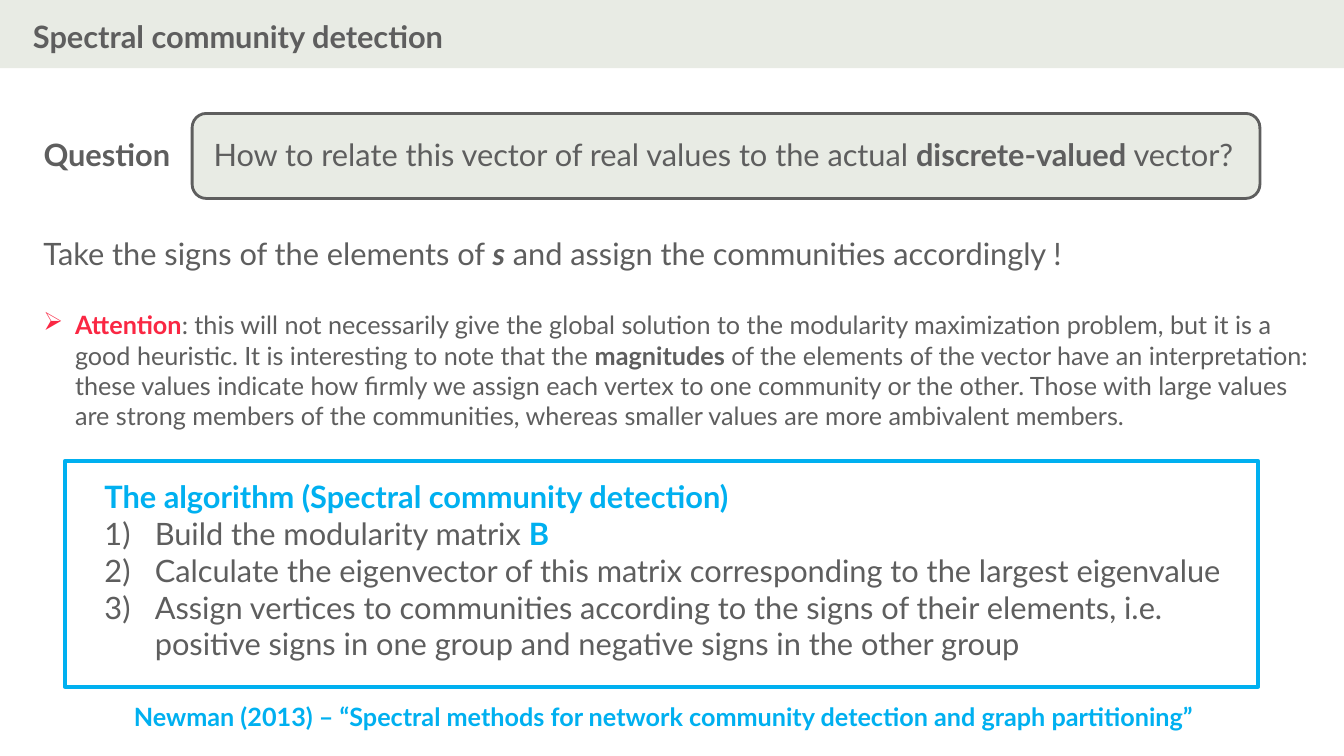
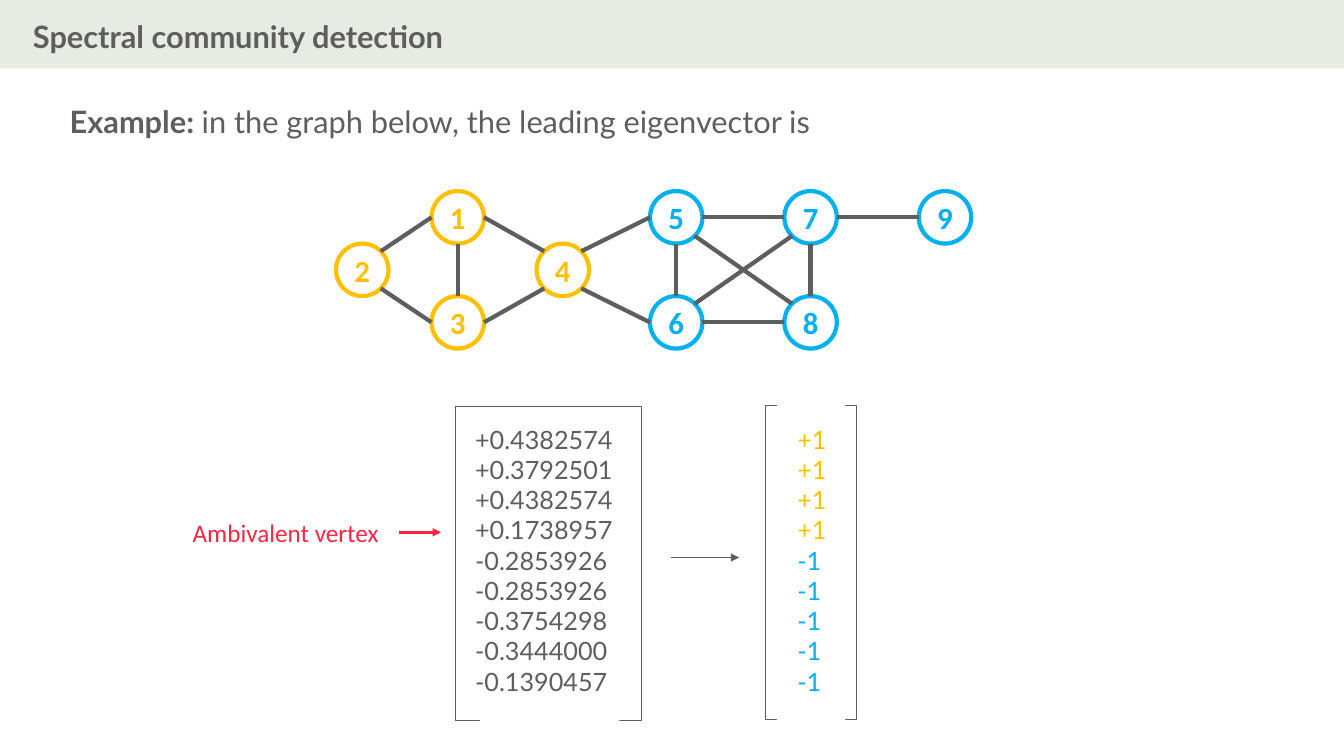
"""Build two slides on spectral community detection."""

import math
from dataclasses import dataclass
from typing import Optional, Union

import lxml.etree
import pptx
import pptx.dml.color
import pptx.enum.shapes
import pptx.enum.text
import pptx.oxml.ns
import pptx.shapes.autoshape
import pptx.shapes.connector
import pptx.shapes.shapetree
import pptx.slide
import pptx.util

EMU_PER_PX = 9525
SLIDE_WIDTH, SLIDE_HEIGHT = 1280, 720

GREY = "5E5E5E"
PALE = "E8EBE4"
WHITE = "FFFFFF"
BLUE = "00B0F0"
GOLD = "FFC000"
RED = "FA2743"

MAIN_FONT, GRAPH_FONT = "Lato", "Calibri"
LARGE, SMALL = 22, 18
HAIRLINE = 0.5

NODE_SIZE = 50
NODE_TOP = 182
TOP, TOP_LEFT, LEFT, BOTTOM_LEFT, BOTTOM, BOTTOM_RIGHT, RIGHT, TOP_RIGHT = range(8)

RECTANGLE = pptx.enum.shapes.MSO_SHAPE.RECTANGLE
ROUNDED = pptx.enum.shapes.MSO_SHAPE.ROUNDED_RECTANGLE
OVAL = pptx.enum.shapes.MSO_SHAPE.OVAL

Shapes = Union[pptx.shapes.shapetree.SlideShapes, pptx.shapes.shapetree.GroupShapes]


@dataclass(frozen=True)
class Box:
    left: int
    top: int
    width: int
    height: int


@dataclass(frozen=True)
class Run:
    text: str
    color: str = GREY
    bold: bool = False
    italic: bool = False


@dataclass(frozen=True)
class Paragraph:
    runs: tuple[Run, ...]
    size: int = LARGE
    bullet: Optional[str] = None
    indent: int = 0
    space_after: int = 0


@dataclass(frozen=True)
class Node:
    label: str
    left: int
    row: int
    color: str


@dataclass(frozen=True)
class Edge:
    start: str
    start_site: int
    end: str
    end_site: int


@dataclass(frozen=True)
class Vector:
    text_box: Box
    frame: Box
    masks: tuple[Box, ...]
    entries: tuple[Run, ...]


NODES = (
    Node("1", 411, 0, GOLD),
    Node("2", 320, 1, GOLD),
    Node("3", 411, 2, GOLD),
    Node("4", 511, 1, GOLD),
    Node("5", 619, 0, BLUE),
    Node("6", 619, 2, BLUE),
    Node("7", 747, 0, BLUE),
    Node("8", 747, 2, BLUE),
    Node("9", 875, 0, BLUE),
)

EDGES = (
    Edge("1", LEFT, "2", TOP_RIGHT),
    Edge("2", BOTTOM_RIGHT, "3", LEFT),
    Edge("1", BOTTOM, "3", TOP),
    Edge("4", BOTTOM_LEFT, "3", RIGHT),
    Edge("1", RIGHT, "4", TOP_LEFT),
    Edge("5", LEFT, "4", TOP_RIGHT),
    Edge("6", LEFT, "4", BOTTOM_RIGHT),
    Edge("5", BOTTOM, "6", TOP),
    Edge("7", BOTTOM_LEFT, "6", TOP_RIGHT),
    Edge("5", BOTTOM_RIGHT, "8", TOP_LEFT),
    Edge("8", TOP, "7", BOTTOM),
    Edge("7", LEFT, "5", RIGHT),
    Edge("8", LEFT, "6", RIGHT),
    Edge("7", RIGHT, "9", LEFT),
)

EIGENVECTOR = (
    "+0.4382574", "+0.3792501", "+0.4382574", "+0.1738957", "-0.2853926",
    "-0.2853926", "-0.3754298", "-0.3444000", "-0.1390457",
)

VECTORS = (
    Vector(
        Box(443, 399, 177, 272),
        Box(434, 387, 177, 299),
        (Box(457, 672, 133, 26),),
        tuple(Run(value) for value in EIGENVECTOR),
    ),
    Vector(
        Box(750, 399, 65, 272),
        Box(729, 386, 87, 299),
        (Box(740, 375, 65, 26), Box(740, 670, 65, 26)),
        tuple(Run("+1", GOLD) if value.startswith("+") else Run("-1", BLUE) for value in EIGENVECTOR),
    ),
)


def px(length: float) -> pptx.util.Emu:
    return pptx.util.Emu(round(length * EMU_PER_PX))


def rgb(color: str) -> pptx.dml.color.RGBColor:
    return pptx.dml.color.RGBColor.from_string(color)


def add_xml(parent: lxml.etree._Element, tag: str, **attributes: str) -> None:
    lxml.etree.SubElement(parent, pptx.oxml.ns.qn(tag), attributes)


def fill_text(frame: pptx.text.text.TextFrame, paragraphs: tuple[Paragraph, ...], font: str) -> None:
    for index, content in enumerate(paragraphs):
        paragraph = frame.add_paragraph() if index else frame.paragraphs[0]
        if content.space_after:
            paragraph.space_after = pptx.util.Pt(content.space_after)
        if content.bullet:
            properties = paragraph._p.get_or_add_pPr()
            properties.set("marL", str(px(content.indent)))
            properties.set("indent", str(px(-content.indent)))
            if content.bullet == "1)":
                add_xml(properties, "a:buAutoNum", type="arabicParenR")
            else:
                add_xml(properties, "a:buChar", char=content.bullet)
        for part in content.runs:
            run = paragraph.add_run()
            run.text = part.text
            run.font.name = font
            run.font.size = pptx.util.Pt(content.size)
            run.font.bold = part.bold
            run.font.italic = part.italic
            run.font.color.rgb = rgb(part.color)


def add_text(shapes: Shapes, box: Box, *paragraphs: Paragraph, font: str = MAIN_FONT, wrap: bool = True) -> None:
    shape = shapes.add_textbox(px(box.left), px(box.top), px(box.width), px(box.height))
    shape.text_frame.word_wrap = wrap
    shape.text_frame.auto_size = pptx.enum.text.MSO_AUTO_SIZE.SHAPE_TO_FIT_TEXT
    fill_text(shape.text_frame, paragraphs, font)


def add_panel(
    shapes: Shapes,
    box: Box,
    kind: pptx.enum.shapes.MSO_SHAPE = RECTANGLE,
    fill: Optional[str] = None,
    line: Optional[str] = None,
    weight: float = 0,
) -> pptx.shapes.autoshape.Shape:
    shape = shapes.add_shape(kind, px(box.left), px(box.top), px(box.width), px(box.height))
    shape.shadow.inherit = False
    if fill:
        shape.fill.solid()
        shape.fill.fore_color.rgb = rgb(fill)
    else:
        shape.fill.background()
    if line:
        shape.line.color.rgb = rgb(line)
        shape.line.width = pptx.util.Pt(weight)
    else:
        shape.line.fill.background()
    return shape


def add_line(
    shapes: Shapes,
    start: tuple[float, float],
    end: tuple[float, float],
    color: str,
    weight: float,
    arrow: bool = False,
) -> pptx.shapes.connector.Connector:
    connector = shapes.add_connector(
        pptx.enum.shapes.MSO_CONNECTOR.STRAIGHT, px(start[0]), px(start[1]), px(end[0]), px(end[1])
    )
    connector.line.color.rgb = rgb(color)
    connector.line.width = pptx.util.Pt(weight)
    properties = connector._element.spPr
    if arrow:
        add_xml(properties.find(pptx.oxml.ns.qn("a:ln")), "a:tailEnd", type="triangle")
    add_xml(properties, "a:effectLst")
    return connector


def add_node(shapes: Shapes, node: Node) -> pptx.shapes.autoshape.Shape:
    box = Box(node.left, NODE_TOP + node.row * NODE_SIZE, NODE_SIZE, NODE_SIZE)
    shape = add_panel(shapes, box, OVAL, line=node.color, weight=3)
    frame = shape.text_frame
    frame.margin_left = frame.margin_right = frame.margin_top = frame.margin_bottom = 0
    frame.vertical_anchor = pptx.enum.text.MSO_ANCHOR.MIDDLE
    fill_text(frame, (Paragraph((Run(node.label, node.color, bold=True),)),), GRAPH_FONT)
    frame.paragraphs[0].alignment = pptx.enum.text.PP_ALIGN.CENTER
    return shape


def site_point(node: Node, site: int) -> tuple[float, float]:
    radius, angle = NODE_SIZE / 2, site * math.pi / 4
    center_y = NODE_TOP + node.row * NODE_SIZE + radius
    return node.left + radius - radius * math.sin(angle), center_y - radius * math.cos(angle)


def add_graph(shapes: Shapes) -> None:
    nodes = {node.label: node for node in NODES}
    circles = {node.label: add_node(shapes, node) for node in NODES}
    for edge in EDGES:
        start = site_point(nodes[edge.start], edge.start_site)
        end = site_point(nodes[edge.end], edge.end_site)
        connector = add_line(shapes, start, end, GREY, 3)
        links = connector._element.find(".//" + pptx.oxml.ns.qn("p:cNvCxnSpPr"))
        add_xml(links, "a:stCxn", id=str(circles[edge.start].shape_id), idx=str(edge.start_site))
        add_xml(links, "a:endCxn", id=str(circles[edge.end].shape_id), idx=str(edge.end_site))


def add_vector(slide: pptx.slide.Slide, vector: Vector) -> None:
    shapes = slide.shapes.add_group_shape().shapes
    add_text(shapes, vector.text_box, *(Paragraph((entry,), SMALL) for entry in vector.entries))
    add_panel(shapes, vector.frame, line=GREY, weight=HAIRLINE)
    for mask in vector.masks:
        add_panel(shapes, mask, fill=WHITE)


def add_titled_slide(presentation: pptx.presentation.Presentation, title: str) -> pptx.slide.Slide:
    slide = presentation.slides.add_slide(presentation.slide_layouts[6])
    add_panel(slide.shapes, Box(0, 0, SLIDE_WIDTH, 65), fill=PALE)
    add_text(slide.shapes, Box(22, 12, 415, 45), Paragraph((Run(title, bold=True),)), wrap=False)
    return slide


def build_algorithm(slide: pptx.slide.Slide) -> None:
    shapes = slide.shapes
    add_text(
        shapes, Box(32, 219, 1240, 197),
        Paragraph((
            Run("Take the signs of the elements of "),
            Run("s", bold=True, italic=True),
            Run(" and assign the communities accordingly !"),
        ), space_after=27),
        Paragraph((
            Run("Attention", RED, bold=True),
            Run(": this will not necessarily give the global solution to the modularity maximization problem, "
                "but it is a good heuristic. It is interesting to note that the "),
            Run("magnitudes", bold=True),
            Run(" of the elements of the vector have an interpretation: these values indicate how firmly we "
                "assign each vertex to one community or the other. Those with large values are strong members "
                "of the communities, whereas smaller values are more ambivalent members."),
        ), SMALL, "➢", 30),
    )
    add_panel(shapes, Box(183, 108, 1017, 81), ROUNDED, PALE, GREY, 2)
    add_text(shapes, Box(194, 125, 1017, 45), Paragraph((
        Run("How to relate this vector of real values to the actual "),
        Run("discrete-valued", bold=True),
        Run(" vector?"),
    )))
    add_text(shapes, Box(32, 125, 141, 45), Paragraph((Run("Question", bold=True),)), wrap=False)
    steps = (
        (Run("Build the modularity matrix "), Run("B", BLUE, bold=True)),
        (Run("Calculate the eigenvector of this matrix corresponding to the largest eigenvalue"),),
        (Run("Assign vertices to communities according to the signs of their elements, i.e. "
             "positive signs in one group and negative signs in the other group"),),
    )
    heading = Paragraph((Run("The algorithm (Spectral community detection)", BLUE, bold=True),))
    add_text(shapes, Box(90, 450, 1120, 187), heading, *(Paragraph(step, bullet="1)", indent=48) for step in steps))
    add_panel(shapes, Box(62, 439, 1136, 215), line=BLUE, weight=3)
    citation = "Newman (2013) – “Spectral methods for network community detection and graph partitioning”"
    add_text(shapes, Box(118, 663, 1065, 38), Paragraph((Run(citation, BLUE, bold=True),), SMALL))


def build_example(slide: pptx.slide.Slide) -> None:
    shapes = slide.shapes
    add_graph(shapes)
    add_text(shapes, Box(57, 93, 1165, 45), Paragraph((
        Run("Example: ", bold=True), Run("in the graph below, the leading eigenvector is"),
    )))
    for vector in VECTORS:
        add_vector(slide, vector)
    add_line(shapes, (639, 531), (704, 531), GREY, HAIRLINE, arrow=True)
    add_line(shapes, (380, 507), (420, 507), RED, 2, arrow=True)
    label = Paragraph((Run("Ambivalent vertex", RED),), SMALL)
    add_text(shapes, Box(174, 488, 199, 38), label, font=GRAPH_FONT, wrap=False)


def main() -> None:
    presentation = pptx.Presentation()
    presentation.slide_width, presentation.slide_height = px(SLIDE_WIDTH), px(SLIDE_HEIGHT)
    for build in (build_algorithm, build_example):
        build(add_titled_slide(presentation, "Spectral community detection"))
    presentation.save("out.pptx")


if __name__ == "__main__":
    main()
